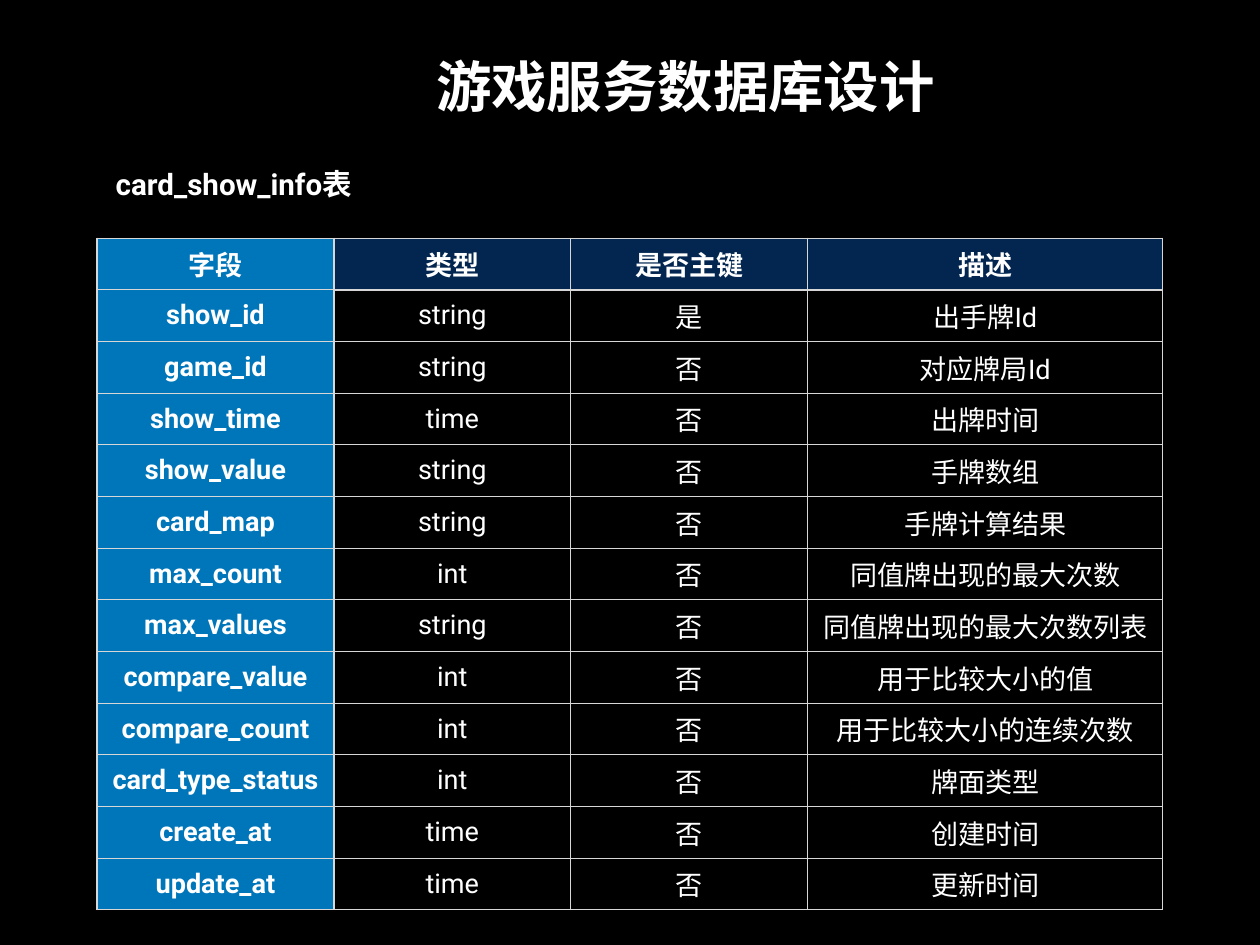
from lxml.etree import SubElement
from pptx import Presentation
from pptx.dml.color import RGBColor as RGB
from pptx.enum.text import MSO_ANCHOR as ANCHOR, MSO_AUTO_SIZE as AUTO, PP_ALIGN as ALIGN
from pptx.oxml.ns import qn
from pptx.util import Inches, Pt

COLORS = {"back": "000000", "text": "FFFFFF", "field": "0076BA",
          "header": "032650", "border": "D6D7D6"}
HEADER = ("字段", "类型", "是否主键", "描述")
FIELDS = [
    ("show_id", "string", "是", "出手牌Id"),
    ("game_id", "string", "否", "对应牌局Id"),
    ("show_time", "time", "否", "出牌时间"),
    ("show_value", "string", "否", "手牌数组"),
    ("card_map", "string", "否", "手牌计算结果"),
    ("max_count", "int", "否", "同值牌出现的最大次数"),
    ("max_values", "string", "否", "同值牌出现的最大次数列表"),
    ("compare_value", "int", "否", "用于比较大小的值"),
    ("compare_count", "int", "否", "用于比较大小的连续次数"),
    ("card_type_status", "int", "否", "牌面类型"),
    ("create_at", "time", "否", "创建时间"),
    ("update_at", "time", "否", "更新时间"),
]


class Deck:
    """Slide builder whose lengths are percentages of the slide's size."""

    font = "Roboto"
    inset = Inches(0.06)

    def __init__(self, width, height):
        self.prs = Presentation()
        self.prs.slide_width, self.prs.slide_height = Inches(width), Inches(height)
        self.s = self.prs.slides.add_slide(self.prs.slide_layouts[6])
        fill = self.s.background.fill
        fill.solid()
        fill.fore_color.rgb = RGB.from_string(COLORS["back"])

    def box(self, left, top, width, height):
        w, h = self.prs.slide_width / 100, self.prs.slide_height / 100
        return [round(v) for v in (left * w, top * h, width * w, height * h)]

    def label(self, tf, text, size, bold):
        tf.text = text
        p = tf.paragraphs[0]
        p.alignment = ALIGN.CENTER
        for r in p.runs:
            r.font.name, r.font.size, r.font.bold = self.font, Pt(size), bold
            r.font.color.rgb = RGB.from_string(COLORS["text"])

    def pad(self, target):
        target.margin_left = target.margin_right = self.inset
        target.margin_top = target.margin_bottom = self.inset
        target.vertical_anchor = ANCHOR.MIDDLE

    def text(self, text, size, *area):
        tf = self.s.shapes.add_textbox(*self.box(*area)).text_frame
        self.pad(tf)
        tf.word_wrap = False
        tf.auto_size = AUTO.SHAPE_TO_FIT_TEXT
        self.label(tf, text, size, True)

    def borders(self, cell, widths):
        tcPr = cell._tc.get_or_add_tcPr()
        for i, (side, width) in enumerate(widths.items()):
            ln = SubElement(tcPr, qn("a:ln" + side), w=str(Pt(width)))
            fill = SubElement(ln, qn("a:solidFill"))
            SubElement(fill, qn("a:srgbClr"), val=COLORS["border"])
            tcPr.insert(i, ln)

    def cell(self, cell, text, size, row, col):
        self.pad(cell)
        self.label(cell.text_frame, text, size, row == 0 or col == 0)
        role = "field" if col == 0 else "header" if row == 0 else "back"
        cell.fill.solid()
        cell.fill.fore_color.rgb = RGB.from_string(COLORS[role])
        self.borders(cell, {"L": 2 if col == 1 else 1,
                            "R": 2 if col == 0 else 1,
                            "T": 2 if row == 1 and col else 1,
                            "B": 2 if row == 0 and col else 1})

    def table(self, rows, shares, size, *area):
        x, y, w, h = self.box(*area)
        table = self.s.shapes.add_table(len(rows), len(shares), x, y, w, h).table
        for column, share in zip(table.columns, shares):
            column.width = round(w * share / sum(shares))
        for i, values in enumerate(rows):
            table.rows[i].height = round(h / len(rows))
            for j, value in enumerate(values):
                self.cell(table.cell(i, j), value, size, i, j)


def main():
    deck = Deck(14.22, 10.67)
    deck.text("游戏服务数据库设计", 45, 34.2, 4.4, 40.4, 9.3)
    deck.text("card_show_info表", 24, 8.2, 16.8, 20.7, 5.3)
    deck.table([HEADER] + FIELDS, (2, 2, 2, 3), 22, 7.7, 25.2, 84.6, 71.1)
    deck.prs.save("out.pptx")


if __name__ == "__main__":
    main()
